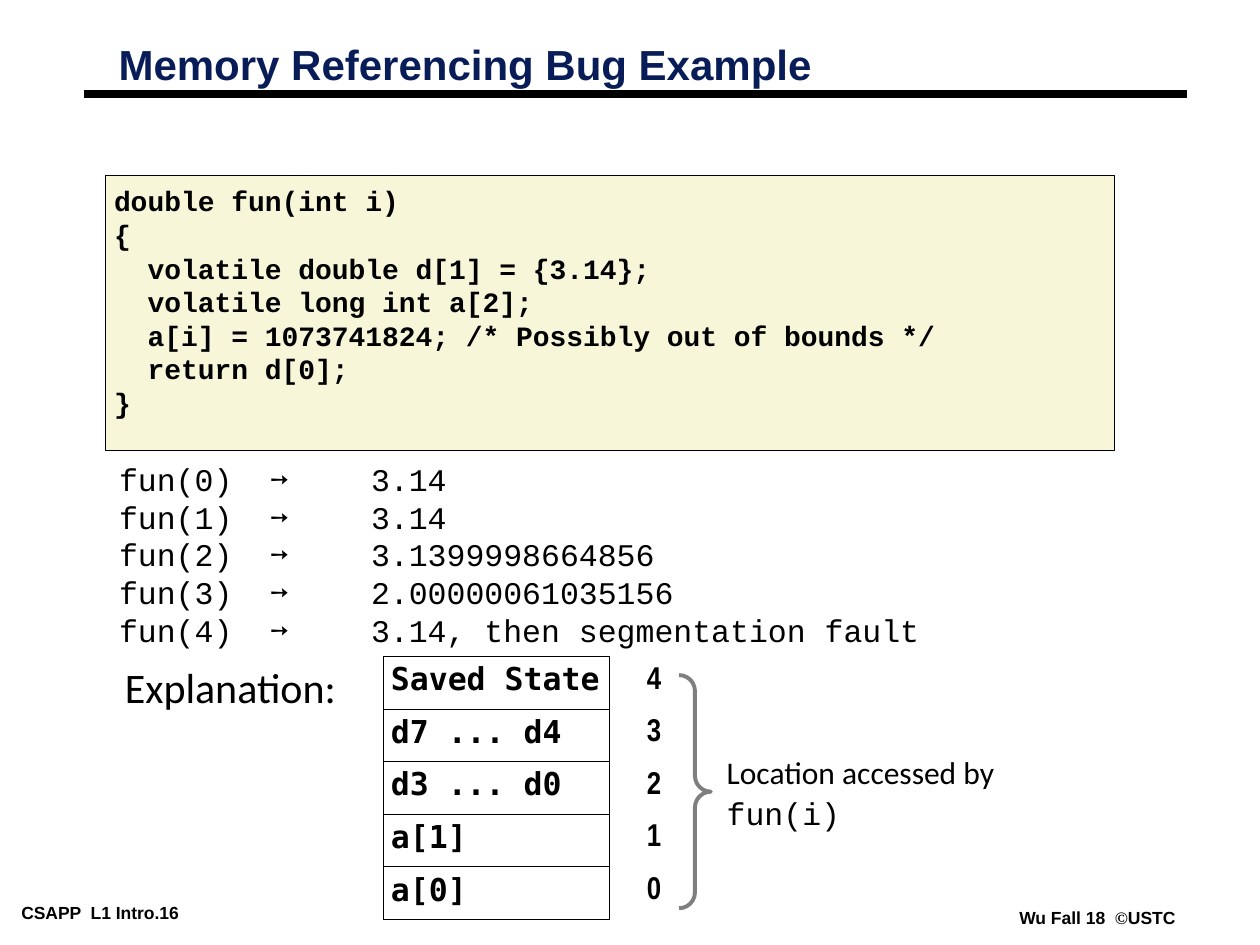
from lxml import etree
from pptx import Presentation
from pptx.dml.color import RGBColor
from pptx.enum.shapes import MSO_CONNECTOR, MSO_SHAPE
from pptx.enum.text import MSO_ANCHOR, PP_ALIGN
from pptx.oxml.ns import qn
from pptx.util import Cm, Pt

RECT, BRACE = MSO_SHAPE.RECTANGLE, MSO_SHAPE.RIGHT_BRACE
STRAIGHT = MSO_CONNECTOR.STRAIGHT
TOP, MIDDLE = MSO_ANCHOR.TOP, MSO_ANCHOR.MIDDLE
LEFT, CENTER, RIGHT = PP_ALIGN.LEFT, PP_ALIGN.CENTER, PP_ALIGN.RIGHT
MONO = "Courier New"

# Content
TITLE = "Memory Referencing Bug Example"
CODE = [
    "double fun(int i)",
    "{",
    "  volatile double d[1] = {3.14};",
    "  volatile long int a[2];",
    "  a[i] = 1073741824; /* Possibly out of bounds */",
    "  return d[0];",
    "}",
]
RESULTS = ["3.14", "3.14", "3.1399998664856", "2.00000061035156",
           "3.14, then segmentation fault"]
STACK = ["Saved State", "d7 ... d4", "d3 ... d0", "a[1]", "a[0]"]
FOOTER_LEFT = "CSAPP  L1 Intro.16"
FOOTER_RIGHT = [("Wu Fall 18  ", "Arial"), ("©", "Times New Roman"), ("USTC", "Arial")]
LOCATION = [("Location accessed by ", "Calibri"), ("fun(i)", MONO)]


def rgb(color):
    return RGBColor.from_string(color)


def write(tf, lines, size=18, font="Arial", color="000000", bold=False,
          align=LEFT, spacing=None, tab=None):
    """Each line is a string or a list of (text, font) runs."""
    for i, line in enumerate(lines):
        p = tf.paragraphs[0] if i == 0 else tf.add_paragraph()
        p.alignment = align
        if spacing:
            p.line_spacing = spacing
        if tab:
            tabs = etree.SubElement(p._p.get_or_add_pPr(), qn("a:tabLst"))
            etree.SubElement(tabs, qn("a:tab"), pos=str(tab), algn="l")
        for text, face in [(line, font)] if isinstance(line, str) else line:
            r = p.add_run()
            r.text = text
            r.font.name, r.font.size, r.font.bold = face, Pt(size), bold
            r.font.color.rgb = rgb(color)


def set_frame(tf, inset, wrap=True):
    tf.word_wrap, tf.vertical_anchor = wrap, TOP
    tf.margin_left = tf.margin_right = Cm(inset[0])
    tf.margin_top = tf.margin_bottom = Cm(inset[1])


def add_text(s, box, lines, inset=(0.18, 0.08), wrap=True, **fmt):
    tf = s.shapes.add_textbox(*map(Cm, box)).text_frame
    set_frame(tf, inset, wrap)
    write(tf, lines, **fmt)


def add_panel(s, box, fill, lines, inset, line=None, **fmt):
    sp = s.shapes.add_shape(RECT, *map(Cm, box))
    sp.shadow.inherit = False
    sp.fill.solid()
    sp.fill.fore_color.rgb = rgb(fill)
    if line:
        sp.line.color.rgb, sp.line.width = rgb(line), Pt(0.5)
    else:
        sp.line.fill.background()
    set_frame(sp.text_frame, (inset, inset))
    write(sp.text_frame, lines, **fmt)


def set_borders(cell, sides):
    tc_pr = cell._tc.get_or_add_tcPr()
    for i, side in enumerate("LRTB"):
        ln = etree.Element(qn(f"a:ln{side}"), w=str(Pt(0.45)))
        if side in sides:
            fill = etree.SubElement(ln, qn("a:solidFill"))
            etree.SubElement(fill, qn("a:srgbClr"), val="000000")
        else:
            etree.SubElement(ln, qn("a:noFill"))
        tc_pr.insert(i, ln)


def add_stack(s, left, top, widths, row_height):
    n = len(STACK)
    tbl = s.shapes.add_table(n, 2, Cm(left), Cm(top), Cm(sum(widths)),
                             Cm(n * row_height)).table
    tbl.first_row = tbl.horz_banding = False
    for col, width in zip(tbl.columns, widths):
        col.width = Cm(width)
    for i, name in enumerate(STACK):
        tbl.rows[i].height = Cm(row_height)
        columns = [(name, "DejaVu Sans Mono", LEFT, "LRTB"),
                   (str(n - 1 - i), "Arial Narrow", RIGHT, "L")]
        for j, (text, font, align, sides) in enumerate(columns):
            cell = tbl.cell(i, j)
            cell.fill.background()
            set_borders(cell, sides)
            cell.vertical_anchor = MIDDLE
            cell.margin_left = cell.margin_right = Cm(0.15)
            cell.margin_top = cell.margin_bottom = Cm(0.13)
            write(cell.text_frame, [text], font=font, bold=True,
                  align=align, spacing=0.75)


def main():
    prs = Presentation()
    prs.slide_width, prs.slide_height = Cm(25.4), Cm(19.05)
    s = prs.slides.add_slide(prs.slide_layouts[6])

    # Footers and title rule
    add_text(s, (0.25, 18.1, 4.85, 0.56), [FOOTER_LEFT], wrap=False, size=10, bold=True)
    add_text(s, (20.37, 18.21, 3.51, 0.56), [FOOTER_RIGHT], wrap=False, size=10, bold=True)
    rule = s.shapes.add_connector(STRAIGHT, Cm(1.7), Cm(1.9), Cm(23.92), Cm(1.9))
    rule.line.color.rgb, rule.line.width = rgb("000000"), Pt(4.5)
    etree.SubElement(rule._element.spPr, qn("a:effectLst"))
    add_text(s, (2.21, 0.84, 14.8, 1.02), [TITLE], size=24, color="081D58",
             bold=True, spacing=0.87)

    # Code and its results
    add_panel(s, (2.12, 3.53, 20.35, 5.56), "F8F6D9", CODE, 0.18, line="000000",
              size=16, font=MONO, bold=True)
    calls = [f"fun({i})  ➙\t{value}" for i, value in enumerate(RESULTS)]
    add_panel(s, (2.3, 9.17, 20.35, 3.81), "FFFFFF", calls, 0.1,
              font=MONO, tab=Cm(5.08))

    # Explanation: brace, label and memory layout
    brace = s.shapes.add_shape(BRACE, Cm(13.69), Cm(13.61), Cm(0.64), Cm(4.7))
    brace.adjustments[0] = brace.adjustments[1] = 0.5
    brace.shadow.inherit = False
    brace.fill.background()
    brace.line.color.rgb, brace.line.width = rgb("7F7F7F"), Pt(2.25)
    add_text(s, (14.55, 15, 5.89, 1.8), [LOCATION], inset=(0.1, 0.1), spacing=1.1)
    add_text(s, (2.18, 13.34, 4.93, 1.02), ["Explanation:"], inset=(0, 0),
             wrap=False, size=24, font="Calibri", align=CENTER)
    add_stack(s, 7.73, 13.23, (4.56, 1.19), 1.06)

    prs.save("out.pptx")


if __name__ == "__main__":
    main()
